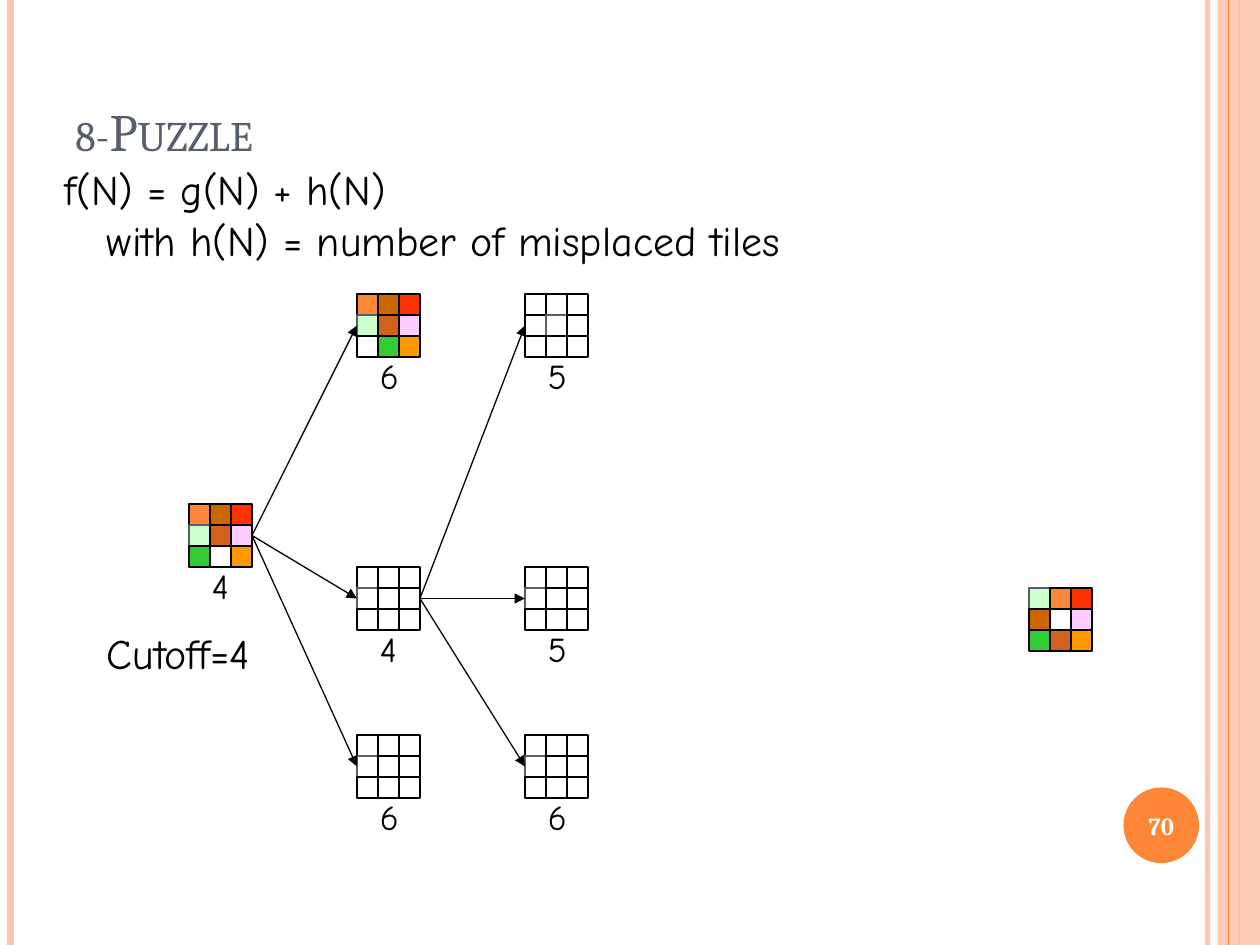
from pptx import Presentation
from pptx.dml.color import RGBColor as Rgb
from pptx.enum.shapes import MSO_CONNECTOR as Con, MSO_SHAPE as Kind
from pptx.enum.text import MSO_ANCHOR as Anchor, PP_ALIGN as Align
from pptx.oxml.ns import qn
from pptx.util import Inches, Pt
from lxml.etree import SubElement as Sub

BLACK = Rgb(0x00, 0x00, 0x00)
WHITE = Rgb(0xFF, 0xFF, 0xFF)
SLATE = Rgb(0x57, 0x5F, 0x6D)
ORANGE = Rgb(0xFE, 0x86, 0x37)
PEACH = Rgb(0xFE, 0xC3, 0xAE)
BROWN = Rgb(0xCC, 0x66, 0x00)
MINT = Rgb(0xCC, 0xFF, 0xCC)
RUST = Rgb(0xD2, 0x61, 0x1C)
PINK = Rgb(0xFF, 0xCC, 0xFF)
GREEN = Rgb(0x33, 0xCC, 0x33)
AMBER = Rgb(0xFF, 0x99, 0x00)
RED = Rgb(0xFF, 0x33, 0x00)

COLS, ROWS = 60, 45
BODY = {"name": "Comic Neue", "size": Pt(24)}
SCORE = {"name": "Comic Neue", "size": Pt(20)}
TITLE = {"name": "Cambria", "size": Pt(30)}
BADGE = {"name": "Cambria", "size": Pt(14), "bold": True}


class Page:
    def __init__(self, deck):
        self.slide = deck.slides.add_slide(deck.slide_layouts[6])
        self.shapes = self.slide.shapes
        self.unit = deck.slide_width / COLS

    def grid(self, *cells):
        return [round(cell * self.unit) for cell in cells]

    def fade(self, fill, share):
        tint = fill._xPr.find(".//" + qn("a:srgbClr"))
        Sub(tint, qn("a:alpha")).set("val", str(share * 1000))

    def shape(self, kind, area, color, edge=None, share=100):
        item = self.shapes.add_shape(kind, *self.grid(*area))
        item.shadow.inherit = False
        item.fill.solid()
        item.fill.fore_color.rgb = color
        if share < 100:
            self.fade(item.fill, share)
        if edge is None:
            item.line.fill.background()
        else:
            item.line.color.rgb = edge
            item.line.width = Pt(0.75)

    def line(self, start, end, color=BLACK, width=0.75, share=100, arrow=False):
        item = self.shapes.add_connector(Con.STRAIGHT, *self.grid(*start, *end))
        item.line.color.rgb = color
        item.line.width = Pt(width)
        if share < 100:
            self.fade(item.line.fill, share)
        if arrow:
            Sub(item.line._get_or_add_ln(), qn("a:tailEnd")).set("type", "triangle")
        Sub(item._element.spPr, qn("a:effectLst"))

    def text(self, area, lines, style, color=BLACK, wrap=True, fill=None,
             anchor=Anchor.TOP, align=Align.LEFT, caps=False):
        box = self.shapes.add_textbox(*self.grid(*area))
        if fill is not None:
            box.fill.solid()
            box.fill.fore_color.rgb = fill
        frame = box.text_frame
        frame.word_wrap = wrap
        frame.vertical_anchor = anchor
        for i, (words, indent) in enumerate(lines):
            para = frame.add_paragraph() if i else frame.paragraphs[0]
            para.alignment = align
            if indent:
                para._p.get_or_add_pPr().set("marL", str(self.grid(indent)[0]))
            run = para.add_run()
            run.text = words
            for key, value in style.items():
                setattr(run.font, key, value)
            run.font.color.rgb = color
            if caps:
                run._r.get_or_add_rPr().set("cap", "small")

    def board(self, col, row, tiles, score=None, mark=3):
        if score:
            self.text((col + 0.5, row + 2.58, 2.2, 2.6), [(score, 0)], SCORE,
                      wrap=False, fill=WHITE)
        for i, color in enumerate(tiles):
            down, over = divmod(i, 3)
            self.shape(Kind.RECTANGLE, (col + over, row + down, 1, 1), color,
                       SLATE if i == mark else BLACK)

    def link(self, source, target):
        self.line((source[0] + 3, source[1] + 1.5),
                  (target[0], target[1] + 1.5), arrow=True)


def frame(page):
    def rule(col, *look):
        page.line((col, 0), (col, ROWS), *look)

    rule(57.5, PEACH, 3, 93)
    rule(0.5, PEACH, 4.5)
    rule(59, ORANGE, 1.5)
    page.shape(Kind.RECTANGLE, (58, 0, 2, ROWS), PEACH, share=87)
    rule(58.5, ORANGE, 0.75)
    page.shape(Kind.OVAL, (53.5, 37.5, 3.6, 3.6), ORANGE)
    page.text((3, 0.5, 49, 7.5), [("8-Puzzle", 0)], TITLE, SLATE,
              anchor=Anchor.BOTTOM, caps=True)
    page.text((53.3, 37.6, 4, 3.4), [("70", 0)], BADGE, WHITE,
              anchor=Anchor.MIDDLE, align=Align.CENTER)


def tree(page):
    top = [ORANGE, BROWN, RED, MINT, RUST, PINK]
    blank = [WHITE] * 9
    root, mid = (9, 24), (17, 27)
    page.board(*root, top + [GREEN, WHITE, AMBER], "4")
    page.board(49, 28, [MINT, ORANGE, RED, BROWN, WHITE, PINK,
                        GREEN, RUST, AMBER], mark=0)
    nodes = [
        (root, (17, 14), top + [WHITE, GREEN, AMBER], "6", 3),
        (root, mid, blank, "4", 3),
        (root, (17, 35), blank, "6", 3),
        (mid, (25, 14), blank, "5", 4),
        (mid, (25, 27), blank, "5", 3),
        (mid, (25, 35), blank, "6", 3),
    ]
    for source, spot, tiles, score, mark in nodes:
        page.board(*spot, tiles, score, mark)
        page.link(source, spot)


def main():
    deck = Presentation()
    deck.slide_width, deck.slide_height = Inches(10), Inches(7.5)
    page = Page(deck)
    frame(page)
    tree(page)
    page.text((4.5, 29.6, 9.7, 3), [("Cutoff=4", 0)], BODY)
    page.text((2.5, 7.5, 38, 5.4), [
        ("f(N) = g(N) + h(N)", 0),
        ("with h(N) = number of misplaced tiles", 2),
    ], BODY)
    deck.save("out.pptx")


if __name__ == "__main__":
    main()
